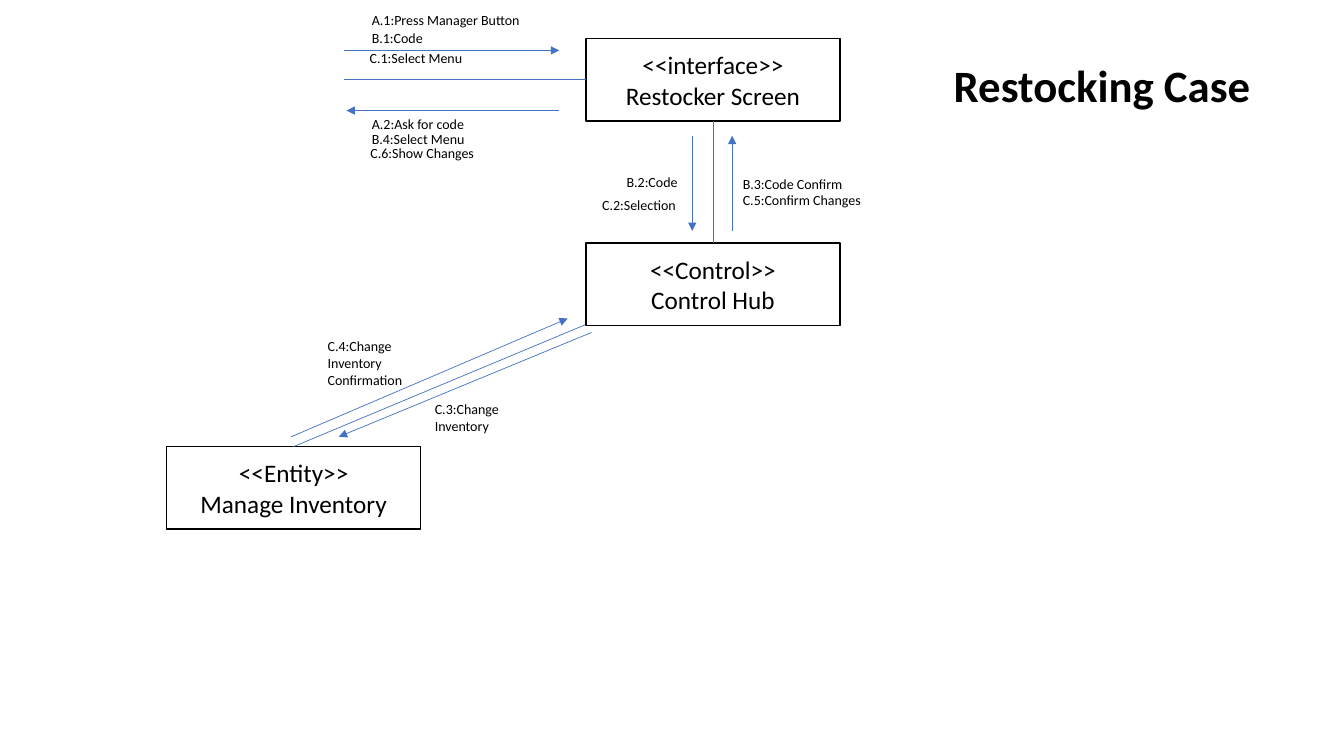
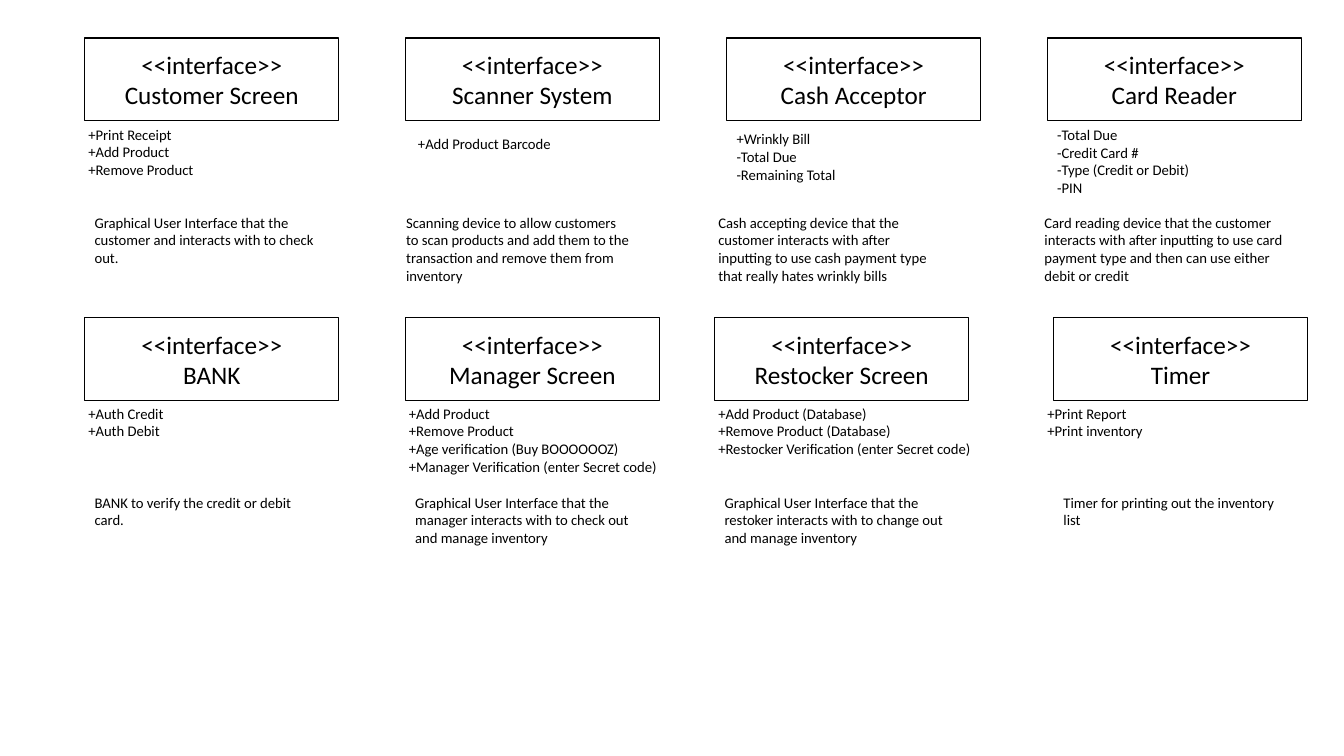
from dataclasses import dataclass
from typing import NamedTuple

import pptx
import pptx.dml.color
import pptx.enum.shapes
import pptx.enum.text
import pptx.oxml.ns
import pptx.util
import lxml.etree

Pt = pptx.util.Pt
ALIGN = pptx.enum.text.PP_ALIGN
TOP, LEFT, BOTTOM = 0, 1, 2


@dataclass(frozen=True)
class Theme:
    font: str = "Calibri"
    ink: str = "000000"
    paper: str = "FFFFFF"
    accent: str = "4472C4"
    title: float = 32
    box: float = 18
    label: float = 10
    detail: float = 10.5
    box_line: float = 1
    link_line: float = 0.5
    box_width: float = 181.5
    box_height: float = 59


THEME = Theme()


class Card(NamedTuple):
    name: str
    x: float
    members: str
    members_x: float
    members_y: float
    about: str
    about_x: float
    about_width: float
    about_lines: int


MESSAGES = [
    ("A.1:Press Manager Button", 258.5, 5, 123, 1),
    ("B.1:Code", 258.5, 17.5, 123, 1),
    ("C.1:Select Menu", 257, 32, 93, 1),
    ("A.2:Ask for code", 258.5, 79.3, 93, 1),
    ("B.4:Select Menu", 258.5, 90, 93, 1),
    ("C.6:Show Changes", 257.5, 100, 106, 1),
    ("B.2:Code", 440.5, 120.5, 53.5, 1),
    ("C.2:Selection", 423, 137, 93, 1),
    ("B.3:Code Confirm", 523.5, 121.5, 93, 1),
    ("C.5:Confirm Changes", 523.5, 133.5, 106, 1),
    ("C.4:Change Inventory Confirmation", 227, 237.5, 83, 3),
    ("C.3:Change Inventory", 303.5, 282.5, 93, 2),
]

ARROWS = [
    (245.5, 36, 399.5, 36),
    (399.5, 79, 247.5, 79),
    (494.5, 97, 494.5, 165),
    (523, 165, 523, 97),
    (208, 312, 405.5, 227.5),
    (422.5, 237.5, 242, 312),
]

TOP_ROW = [
    Card("Customer Screen", 60.5,
         "+Print Receipt\n+Add Product\n+Remove Product", 56, 86,
         "Graphical User Interface that the customer and interacts with to check out.",
         60.5, 175.5, 3),
    Card("Scanner System", 289.5, "+Add Product Barcode", 291.5, 93,
         "Scanning device to allow customers to scan products and add them to the "
         "transaction and remove them from inventory", 283, 175.5, 4),
    Card("Cash Acceptor", 519, "+Wrinkly Bill\n-Total Due\n-Remaining Total", 519, 89.5,
         "Cash accepting device that the customer interacts with after inputting to use "
         "cash payment type that really hates wrinkly bills", 506, 175.5, 4),
    Card("Card Reader", 748,
         "-Total Due\n-Credit Card #\n-Type (Credit or Debit)\n-PIN", 748, 86.5,
         "Card reading device that the customer interacts with after inputting to use card "
         "payment type and then can use either debit or credit", 739, 191, 4),
]

BOTTOM_ROW = [
    Card("BANK", 60.5, "+Auth Credit\n+Auth Debit", 56, 285.5,
         "BANK to verify the credit or debit card.", 60.5, 175.5, 2),
    Card("Manager Screen", 289.5,
         "+Add Product\n+Remove Product\n+Age verification (Buy BOOOOOOZ)\n"
         "+Manager Verification (enter Secret code)", 285, 285.5,
         "Graphical User Interface that the manager interacts with to check out and "
         "manage inventory", 289.5, 175.5, 3),
    Card("Restocker Screen", 510.5,
         "+Add Product (Database)\n+Remove Product (Database)\n"
         "+Restocker Verification (enter Secret code)", 506, 285.5,
         "Graphical User Interface that the restoker interacts with to change out and "
         "manage inventory", 510.5, 175.5, 3),
    Card("Timer", 752.5, "+Print Report\n+Print inventory", 741, 285.5,
         "Timer for printing out the inventory list", 752.5, 175.5, 2),
]


def rgb(value):
    return pptx.dml.color.RGBColor.from_string(value)


def set_text(tf, text, size, align=ALIGN.LEFT, bold=False):
    tf.text = text
    tf.word_wrap = True
    for p in tf.paragraphs:
        p.alignment = align
        for r in p.runs:
            r.font.name = THEME.font
            r.font.size = Pt(size)
            r.font.bold = bold
            r.font.color.rgb = rgb(THEME.ink)


def add_text(s, text, x, y, width, lines, size, **style):
    height = lines * size * 1.22 + 7.2
    sp = s.shapes.add_textbox(Pt(x), Pt(y), Pt(width), Pt(height))
    set_text(sp.text_frame, text, size, **style)
    sp.text_frame.auto_size = pptx.enum.text.MSO_AUTO_SIZE.SHAPE_TO_FIT_TEXT


def add_class_box(s, stereotype, name, x, y):
    sp = s.shapes.add_shape(
        pptx.enum.shapes.MSO_SHAPE.RECTANGLE,
        Pt(x), Pt(y), Pt(THEME.box_width), Pt(THEME.box_height))
    sp.shadow.inherit = False
    sp.fill.solid()
    sp.fill.fore_color.rgb = rgb(THEME.paper)
    sp.line.color.rgb = rgb(THEME.ink)
    sp.line.width = Pt(THEME.box_line)
    sp.text_frame.vertical_anchor = pptx.enum.text.MSO_ANCHOR.MIDDLE
    set_text(sp.text_frame, f"<<{stereotype}>>\n{name}", THEME.box, ALIGN.CENTER)
    return sp


def add_link(s, x1, y1, x2, y2, arrow=False):
    qn = pptx.oxml.ns.qn
    link = s.shapes.add_connector(
        pptx.enum.shapes.MSO_CONNECTOR.STRAIGHT, Pt(x1), Pt(y1), Pt(x2), Pt(y2))
    link.line.color.rgb = rgb(THEME.accent)
    link.line.width = Pt(THEME.link_line)
    properties = link.element.find(qn("p:spPr"))
    if arrow:
        outline = properties.find(qn("a:ln"))
        lxml.etree.SubElement(outline, qn("a:tailEnd"), type="triangle")
    lxml.etree.SubElement(properties, qn("a:effectLst"))
    return link


def add_card(s, card, y):
    add_class_box(s, "interface", card.name, card.x, y)
    add_text(s, card.members, card.members_x, card.members_y, 204,
             card.members.count("\n") + 1, THEME.detail)
    add_text(s, card.about, card.about_x, y + 122, card.about_width,
             card.about_lines, THEME.detail)


def build_restocking(s):
    screen = add_class_box(s, "interface", "Restocker Screen", 418.5, 27.5)
    hub = add_class_box(s, "Control", "Control Hub", 418.5, 173.5)
    inventory = add_class_box(s, "Entity", "Manage Inventory", 119, 319)

    add_link(s, 245.5, 57, 418.5, 57).end_connect(screen, LEFT)
    screen_to_hub = add_link(s, 509, 86.5, 509, 173.5)
    screen_to_hub.begin_connect(screen, BOTTOM)
    screen_to_hub.end_connect(hub, TOP)
    add_link(s, 209.5, 319, 418, 232).begin_connect(inventory, TOP)

    for ends in ARROWS:
        add_link(s, *ends, arrow=True)
    for message in MESSAGES:
        add_text(s, *message, THEME.label)
    add_text(s, "Restocking Case", 609, 38, 356.5, 1, THEME.title,
             align=ALIGN.CENTER, bold=True)


def build_interfaces(s):
    for y, row in ((27, TOP_ROW), (227, BOTTOM_ROW)):
        for card in row:
            add_card(s, card, y)


def main():
    prs = pptx.Presentation()
    prs.slide_width = Pt(960)
    prs.slide_height = Pt(540)
    for build in (build_restocking, build_interfaces):
        build(prs.slides.add_slide(prs.slide_layouts[6]))
    prs.save("out.pptx")


if __name__ == "__main__":
    main()
